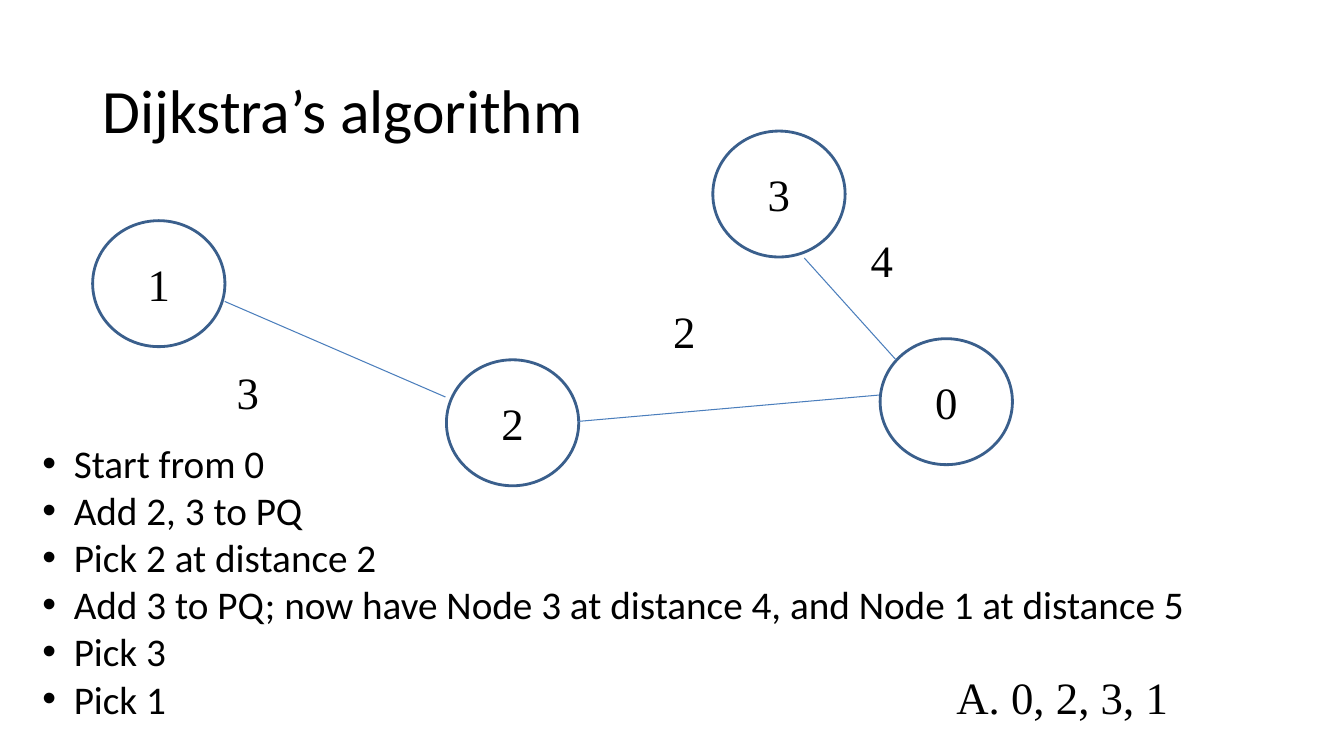
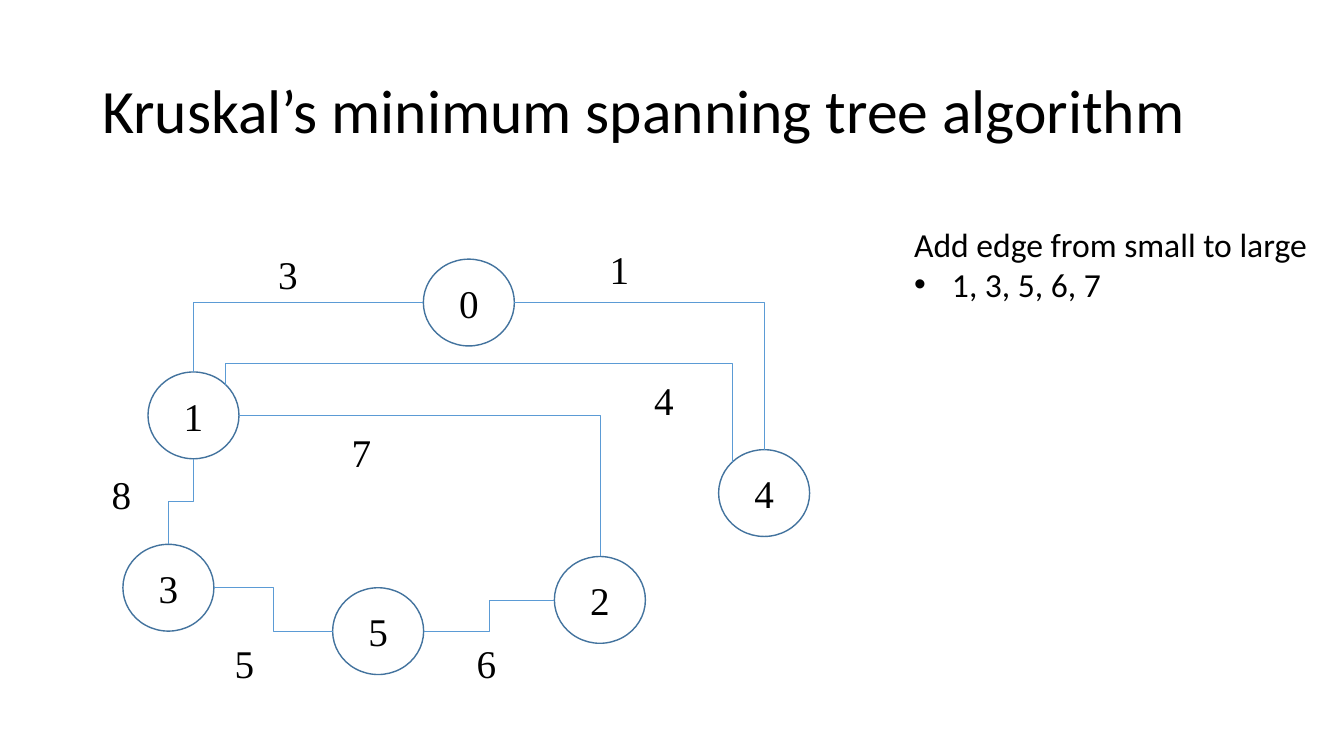
from dataclasses import dataclass
from math import cos, radians, sin

from lxml.etree import SubElement
from pptx import Presentation
from pptx.dml.color import RGBColor as Rgb
from pptx.enum.shapes import MSO_CONNECTOR as Link
from pptx.enum.shapes import MSO_SHAPE as Preset
from pptx.enum.text import MSO_ANCHOR as Anchor
from pptx.enum.text import MSO_AUTO_SIZE as Fit
from pptx.enum.text import PP_ALIGN as Align
from pptx.oxml.ns import qn
from pptx.util import Pt


@dataclass(frozen=True)
class Theme:
    page: tuple = (960, 540)
    title_box: tuple = (66, 28.8, 828, 104.4)
    sans: str = "Calibri"
    serif: str = "Times New Roman"
    ink: str = "000000"
    paper: str = "FFFFFF"
    title_size: int = 44


@dataclass(frozen=True)
class GraphStyle:
    node_size: tuple
    label_size: tuple
    text_size: int
    outline: tuple
    edge: tuple


THEME = Theme()
LARGE = GraphStyle((94.5, 90), (68.4, 54.7), 32, ("3A5F8C", 2), ("4B7EBC", 0.75))
SMALL = GraphStyle((65, 62), (46.8, 37.4), 28, ("43739E", 1), ("5B9BD5", 0.5))

# Ellipse connection sites run anticlockwise from the top in steps of 45 degrees
TOP, TOP_LEFT, LEFT, BOTTOM, RIGHT, TOP_RIGHT = 0, 1, 2, 4, 6, 7


def apply(target, values):
    for name, value in values.items():
        setattr(target, name, value)


def place(shape, box):
    names = ("left", "top", "width", "height")
    apply(shape, {name: Pt(value) for name, value in zip(names, box)})


def style_line(line, stroke):
    color, width = stroke
    line.color.rgb = Rgb.from_string(color)
    line.width = Pt(width)


def write(para, text, font, size, **layout):
    span = para.add_run()
    span.text = text
    apply(span.font, {"name": font, "size": Pt(size)})
    span.font.color.rgb = Rgb.from_string(THEME.ink)
    apply(para, {"space_before": Pt(0), **layout})


def set_bullet(para, indent, tag=None, **values):
    props = para._p.get_or_add_pPr()
    props.set("marL", str(Pt(indent)))
    props.set("indent", str(Pt(-indent)))
    if tag == "a:buChar":
        SubElement(props, qn("a:buFont"), typeface="Arial")
    SubElement(props, qn(tag or "a:buNone"), **values)


def add_page(deck, title):
    page = deck.slides.add_slide(deck.slide_layouts[1])
    heading = page.shapes.title
    place(heading, THEME.title_box)
    frame = heading.text_frame
    apply(frame, {"vertical_anchor": Anchor.MIDDLE, "auto_size": Fit.NONE, "word_wrap": True})
    write(frame.paragraphs[0], title, THEME.sans, THEME.title_size,
          alignment=Align.LEFT, line_spacing=0.9)
    return page


def fill_list(page, box, size, indent, items, lead=None):
    """Fill the body placeholder: an optional plain lead, then bullets."""
    body = page.placeholders[1]
    place(body, box)
    frame = body.text_frame
    apply(frame, {"word_wrap": False, "auto_size": Fit.SHAPE_TO_FIT_TEXT,
                  "vertical_anchor": Anchor.TOP})
    lines = ([lead] if lead else []) + items
    for index, text in enumerate(lines):
        para = frame.add_paragraph() if index else frame.paragraphs[0]
        write(para, text, THEME.sans, size, alignment=Align.LEFT)
        if text == lead:
            set_bullet(para, 0)
        else:
            set_bullet(para, indent, "a:buChar", char="•")


def add_answer(page, box, text):
    answer = page.shapes.add_textbox(*map(Pt, box))
    frame = answer.text_frame
    apply(frame, {"word_wrap": False, "auto_size": Fit.SHAPE_TO_FIT_TEXT})
    para = frame.paragraphs[0]
    write(para, text, THEME.serif, 32)
    set_bullet(para, 27, "a:buAutoNum", type="alphaUcPeriod")


class Graph:
    """A grouped graph whose parts sit relative to its origin."""

    def __init__(self, page, origin, style):
        self.shapes = page.shapes.add_group_shape().shapes
        self.origin = origin
        self.style = style
        self.nodes = {}

    def shift(self, spot):
        return tuple(start + step for start, step in zip(self.origin, spot))

    def add_box(self, preset, spot, size, text, **layout):
        box = self.shift(spot) + size
        shape = self.shapes.add_shape(preset, *map(Pt, box))
        shape.shadow.inherit = False
        write(shape.text_frame.paragraphs[0], text, THEME.serif,
              self.style.text_size, **layout)
        return shape

    def add_nodes(self, spots):
        for name, spot in spots.items():
            node = self.add_box(Preset.OVAL, spot, self.style.node_size, name,
                                alignment=Align.CENTER)
            node.fill.background()
            style_line(node.line, self.style.outline)
            node.text_frame.vertical_anchor = Anchor.MIDDLE
            self.nodes[name] = node, spot

    def add_labels(self, labels):
        for text, spot in labels:
            label = self.add_box(Preset.RECTANGLE, spot, self.style.label_size, text,
                                 alignment=Align.LEFT)
            label.fill.solid()
            label.fill.fore_color.rgb = Rgb.from_string(THEME.paper)
            label.line.fill.background()
            label.text_frame.vertical_anchor = Anchor.TOP

    def add_link(self, kind, start, end):
        link = self.shapes.add_connector(kind, *map(Pt, start + end))
        style_line(link.line, self.style.edge)
        SubElement(link.element.spPr, qn("a:effectLst"))
        return link

    def add_straight_edges(self, edges):
        for start, end in edges:
            self.add_link(Link.STRAIGHT, self.shift(start), self.shift(end))

    def site_point(self, name, site):
        (left, top), (width, height) = self.shift(self.nodes[name][1]), self.style.node_size
        angle = radians(45 * site)
        return (left + width / 2 * (1 - sin(angle)),
                top + height / 2 * (1 - cos(angle)))

    def add_bent_edge(self, source, source_site, target, target_site, bend=None):
        (x1, y1), (x2, y2) = (self.site_point(source, source_site),
                              self.site_point(target, target_site))
        dx, dy = x2 - x1, y2 - y1
        sideways = source_site in (LEFT, RIGHT)

        # The first segment's direction decides the turn of the connector
        if sideways:
            width, height = abs(dx), abs(dy)
            turn = 180 if dx < 0 else 0
            flips = {"flipV": (dx < 0) == (dy > 0)}
        else:
            width, height = abs(dy), abs(dx)
            turn = 270 if dx > 0 else 90
            flips = {"flipH": dx > 0}
        left, top = (x1 + x2 - width) / 2, (y1 + y2 - height) / 2
        link = self.add_link(Link.ELBOW, (left, top), (left + width, top + height))
        frame = link.element.spPr.find(qn("a:xfrm"))
        frame.set("rot", str(turn * 60000))
        for name, flipped in flips.items():
            if flipped:
                frame.set(name, "1")

        # One corner where the two ends face different axes, else two
        geometry = link.element.spPr.find(qn("a:prstGeom"))
        if sideways != (target_site in (LEFT, RIGHT)):
            geometry.set("prst", "bentConnector2")
        if bend is not None:
            guides = geometry.find(qn("a:avLst"))
            SubElement(guides, qn("a:gd"), name="adj1", fmla=f"val {round(bend * 100000)}")

        # Join both ends to the ellipses' own sites
        joints = link.element.find(".//" + qn("p:cNvCxnSpPr"))
        for tag, name, site in (("a:stCxn", source, source_site),
                                ("a:endCxn", target, target_site)):
            node = self.nodes[name][0]
            SubElement(joints, qn(tag), id=str(node.shape_id), idx=str(site))


def build_dijkstra(deck):
    page = add_page(deck, "Dijkstra’s algorithm")

    # Weighted graph
    graph = Graph(page, (66.2, 93.6), LARGE)
    graph.add_nodes({"3": (443, 0), "0": (562.5, 148.3), "1": (0, 64), "2": (252.7, 163.4)})
    graph.add_straight_edges([
        ((94.3, 121.7), (252, 190)),
        ((508.3, 90.7), (573.8, 163.4)),
        ((347, 207.4), (561.6, 188.6)),
    ])
    graph.add_labels([("4", (548.6, 69)), ("2", (407.5, 119.5)), ("3", (95.8, 163.4))])

    # Steps and visiting order
    fill_list(page, (23, 310.3, 840.2, 211), 28, 22.5, [
        "Start from 0",
        "Add 2, 3 to PQ",
        "Pick 2 at distance 2",
        "Add 3 to PQ; now have Node 3 at distance 4, and Node 1 at distance 5",
        "Pick 3",
        "Pick 1",
    ])
    add_answer(page, (676, 474.5, 167, 46), " 0, 2, 3, 1")


def build_kruskal(deck):
    page = add_page(deck, "Kruskal’s minimum spanning tree algorithm")

    # Weighted graph
    graph = Graph(page, (72.7, 171.4), SMALL)
    graph.add_nodes({
        "0": (229.7, 13.7), "1": (33, 94.3), "2": (323.3, 226.1),
        "3": (15.1, 217.4), "4": (440.6, 149.8), "5": (164.9, 248.4),
    })
    for edge in (
        ("0", RIGHT, "4", TOP),
        ("0", LEFT, "1", TOP),
        ("1", RIGHT, "2", TOP),
        ("1", TOP_RIGHT, "4", TOP_LEFT, -0.27),
        ("2", LEFT, "5", RIGHT),
        ("5", LEFT, "3", RIGHT),
        ("1", BOTTOM, "3", TOP),
    ):
        graph.add_bent_edge(*edge)
    graph.add_labels([
        ("1", (355.7, 0)), ("3", (118.8, 3.6)), ("7", (171.4, 131)), ("4", (387.4, 93.6)),
        ("8", (0, 161.3)), ("6", (260.6, 281.5)), ("5", (87.8, 281.5)),
    ])

    # Order of the edges
    fill_list(page, (645.8, 156.2, 297.4, 65.5), 24, 27,
              ["1, 3, 5, 6, 7"], lead="Add edge from small to large")


def main():
    deck = Presentation()
    width, height = THEME.page
    apply(deck, {"slide_width": Pt(width), "slide_height": Pt(height)})
    build_dijkstra(deck)
    build_kruskal(deck)
    deck.save("out.pptx")


if __name__ == "__main__":
    main()
